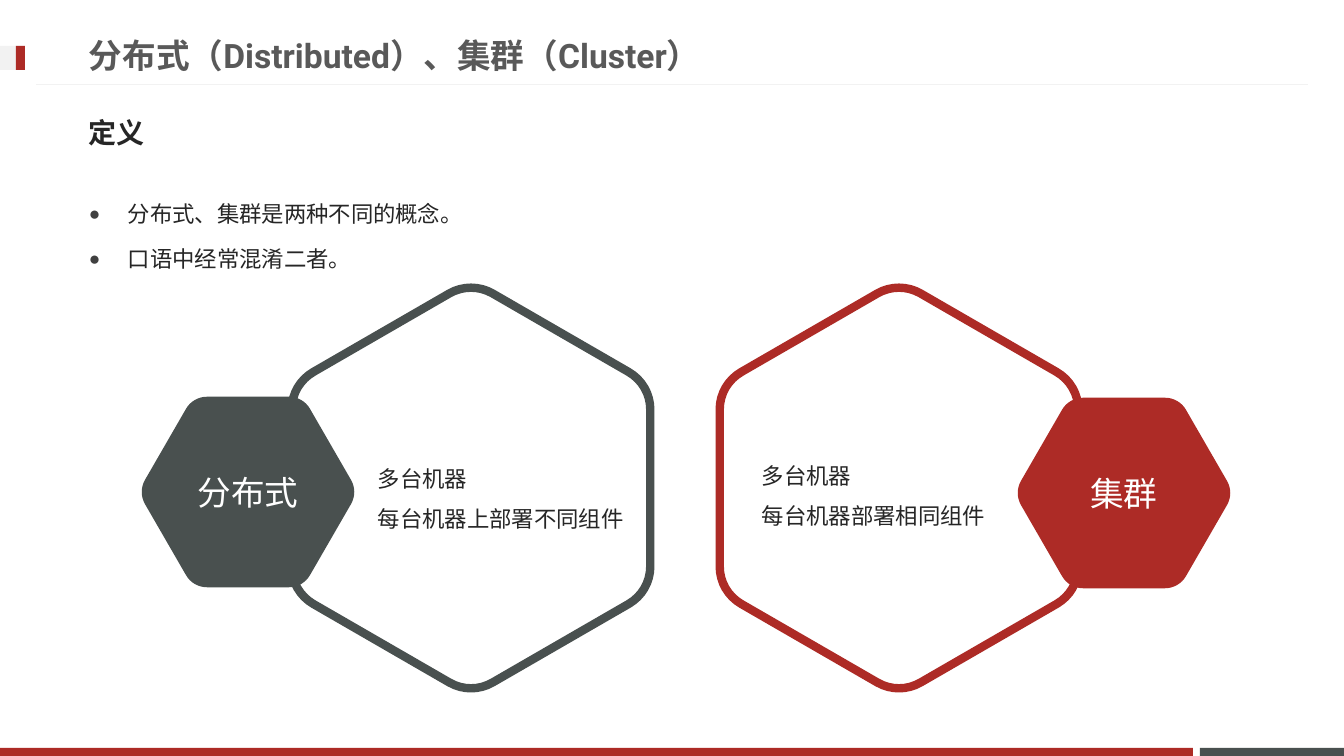
import math
import pptx
import pptx.util
import pptx.dml.color
import pptx.enum.shapes
import pptx.enum.text
import pptx.oxml
import pptx.oxml.ns

SCALE = 914400 / 100.8  # EMU in one px
WIDE, HIGH = 1344, 756
SPACE = pptx.oxml.ns.nsdecls("a")


class Theme:
    red, slate, pale, white = "AD2B26", "49504F", "F2F2F2", "FFFFFF"
    head, ink, dot = "595959", "262626", "404040"
    large, mid, small = 24, 20, 16
    font, label, mark = "Roboto", "Lato", "Arial"


def emu(px):
    return pptx.util.Emu(round(px * SCALE))


def write(frame, lines, size, tone, font=Theme.font, bold=False,
          align=pptx.enum.text.PP_ALIGN.LEFT, space=1.0, gap=0, bullet=False,
          anchor=pptx.enum.text.MSO_ANCHOR.MIDDLE):
    frame.word_wrap = True
    frame.vertical_anchor = anchor
    for i, line in enumerate(lines):
        para = frame.paragraphs[0] if i == 0 else frame.add_paragraph()
        para.alignment = align
        para.line_spacing = space
        if i and gap:
            para.space_before = pptx.util.Pt(gap)
        if bullet:
            props = para._p.get_or_add_pPr()
            props.set("marL", str(emu(39)))
            props.set("indent", str(-emu(39)))
            for part in (f'<a:buClr {SPACE}><a:srgbClr val="{Theme.dot}"/></a:buClr>',
                         f'<a:buSzPct {SPACE} val="85000"/>',
                         f'<a:buFont {SPACE} typeface="{Theme.mark}"/>',
                         f'<a:buChar {SPACE} char="●"/>'):
                props.append(pptx.oxml.parse_xml(part))
        run = para.add_run()
        run.text = line
        run.font.size = pptx.util.Pt(size)
        run.font.name = font
        run.font.bold = bold
        run.font.color.rgb = pptx.dml.color.RGBColor.from_string(tone)


deck = pptx.Presentation()
deck.slide_width, deck.slide_height = emu(WIDE), emu(HIGH)
slide = deck.slides.add_slide(deck.slide_layouts[6])
shapes = slide.shapes

# Footer bars and title marks
for x, y, w, h, tone in [
    (1200, 748, 144, 8, Theme.slate),
    (0, 748, 1193, 8, Theme.red),
    (0, 46, 25, 24, Theme.pale),
    (16, 46, 9, 24, Theme.red),
]:
    bar = shapes.add_shape(pptx.enum.shapes.MSO_SHAPE.RECTANGLE,
                           emu(x), emu(y), emu(w), emu(h))
    bar.shadow.inherit = False
    bar.fill.solid()
    bar.fill.fore_color.rgb = pptx.dml.color.RGBColor.from_string(tone)
    bar.line.fill.background()

# Rule under the title
rule = shapes.add_connector(pptx.enum.shapes.MSO_CONNECTOR.STRAIGHT,
                            emu(1308), emu(85), emu(36), emu(85))
rule.line.color.rgb = pptx.dml.color.RGBColor.from_string(Theme.pale)
rule.line.width = pptx.util.Pt(0.75)
rule._element.spPr.append(pptx.oxml.parse_xml(f'<a:effectLst {SPACE}/>'))

# Round-cornered hexagons: centre, radius, corner trim, first angle
for cx, cy, radius, trim, turn, fill, edge, name in [
    (471, 488, 207, 25, 30, Theme.white, Theme.slate, None),
    (899, 488, 207, 25, 30, Theme.white, Theme.red, None),
    (248, 492, 110, 14, 0, Theme.slate, None, "分布式"),
    (1124, 493, 110, 14, 0, Theme.red, None, "集群"),
]:
    tips = [(cx + radius * math.cos(math.radians(turn + 60 * i)),
             cy + radius * math.sin(math.radians(turn + 60 * i))) for i in range(6)]
    points, bends = [], []
    for i, tip in enumerate(tips):
        # Two cubic curves meet in the middle of each corner
        ends = [[a + (b - a) * trim / radius for a, b in zip(tip, other)]
                for other in (tips[i - 1], tips[(i + 1) % 6])]
        pulls = [[e + (a - e) * 0.62 for a, e in zip(tip, end)] for end in ends]
        outer = [[(e + p) / 2 for e, p in zip(*pair)] for pair in zip(ends, pulls)]
        crest = [(a + b) / 2 for a, b in zip(*pulls)]
        inner = [[(o + c) / 2 for o, c in zip(pair, crest)] for pair in outer]
        middle = [(a + b) / 2 for a, b in zip(*inner)]
        points += [ends[0], middle, ends[1]]
        bends += [None, (outer[0], inner[0]), (inner[1], outer[1])]
    points = [(emu(x), emu(y)) for x, y in points]
    path = shapes.build_freeform(*points[0], scale=1.0)
    path.add_line_segments(points[1:], close=True)
    hexa = path.convert_to_shape()
    for line, bend in zip(hexa._element.xpath(".//a:lnTo"), bends[1:]):
        if bend:
            curve = pptx.oxml.parse_xml(f'<a:cubicBezTo {SPACE}/>')
            for x, y in bend:
                curve.append(pptx.oxml.parse_xml(
                    f'<a:pt {SPACE} x="{emu(x) - hexa.left}" y="{emu(y) - hexa.top}"/>'))
            curve.append(line[0])
            line.getparent().replace(line, curve)
    hexa.shadow.inherit = False
    hexa.fill.solid()
    hexa.fill.fore_color.rgb = pptx.dml.color.RGBColor.from_string(fill)
    if edge:
        hexa.line.color.rgb = pptx.dml.color.RGBColor.from_string(edge)
        hexa.line.width = pptx.util.Pt(6)
    else:
        hexa.line.fill.background()
    if name:
        write(hexa.text_frame, [name], Theme.large, Theme.white, Theme.label,
              align=pptx.enum.text.PP_ALIGN.CENTER)

# Title, heading, bullets and the two descriptions
top = pptx.enum.text.MSO_ANCHOR.TOP
for x, y, w, h, lines, size, tone, style in [
    (79, 27, 967, 57, ["分布式（Distributed）、集群（Cluster）"],
     Theme.large, Theme.head, dict(bold=True)),
    (79, 104, 1185, 57, ["定义"], Theme.mid, Theme.ink, dict(bold=True)),
    (79, 182, 1185, 465, ["分布式、集群是两种不同的概念。", "口语中经常混淆二者。"],
     Theme.small, Theme.ink, dict(space=1.5, gap=3.2, bullet=True, anchor=top)),
    (368, 446, 272, 92, ["多台机器", "每台机器上部署不同组件"],
     Theme.small, Theme.ink, dict(space=1.5)),
    (752, 443, 252, 92, ["多台机器", "每台机器部署相同组件"],
     Theme.small, Theme.ink, dict(space=1.5)),
]:
    box = shapes.add_textbox(emu(x), emu(y), emu(w), emu(h))
    write(box.text_frame, lines, size, tone, **style)

deck.save("out.pptx")
